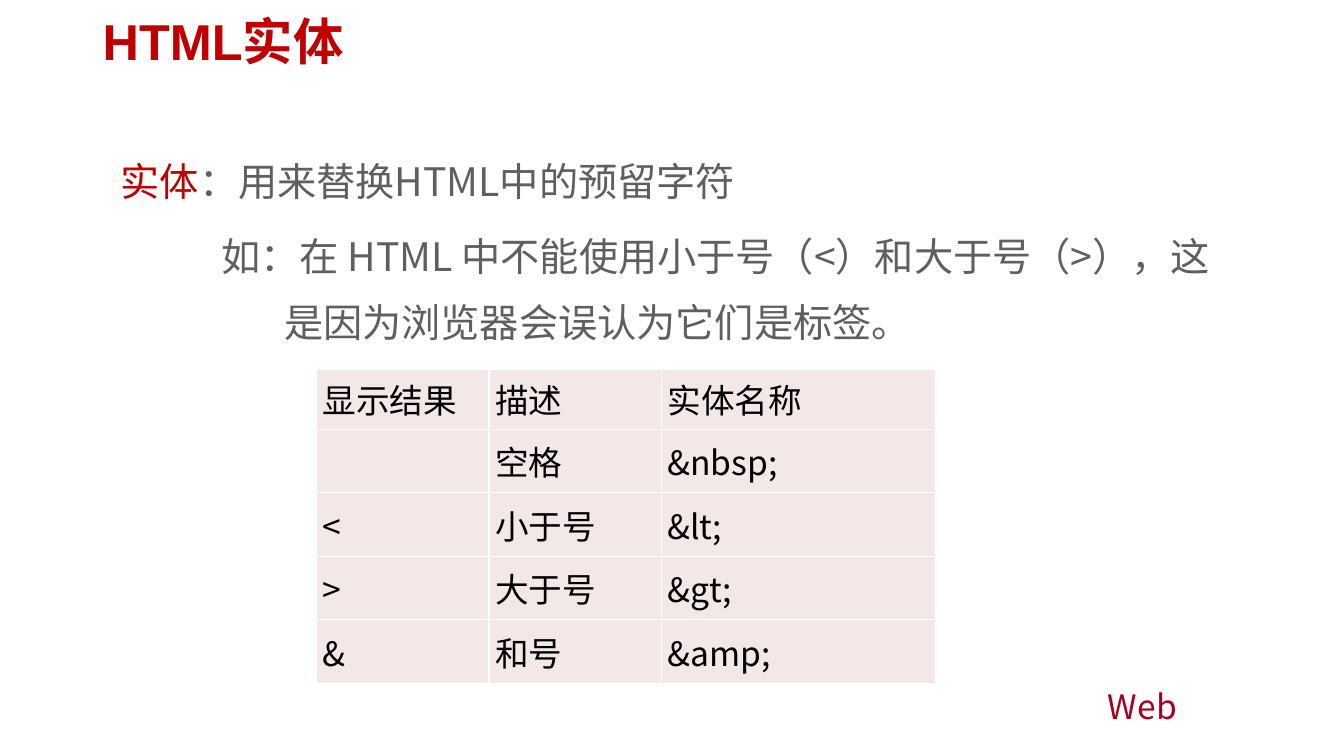
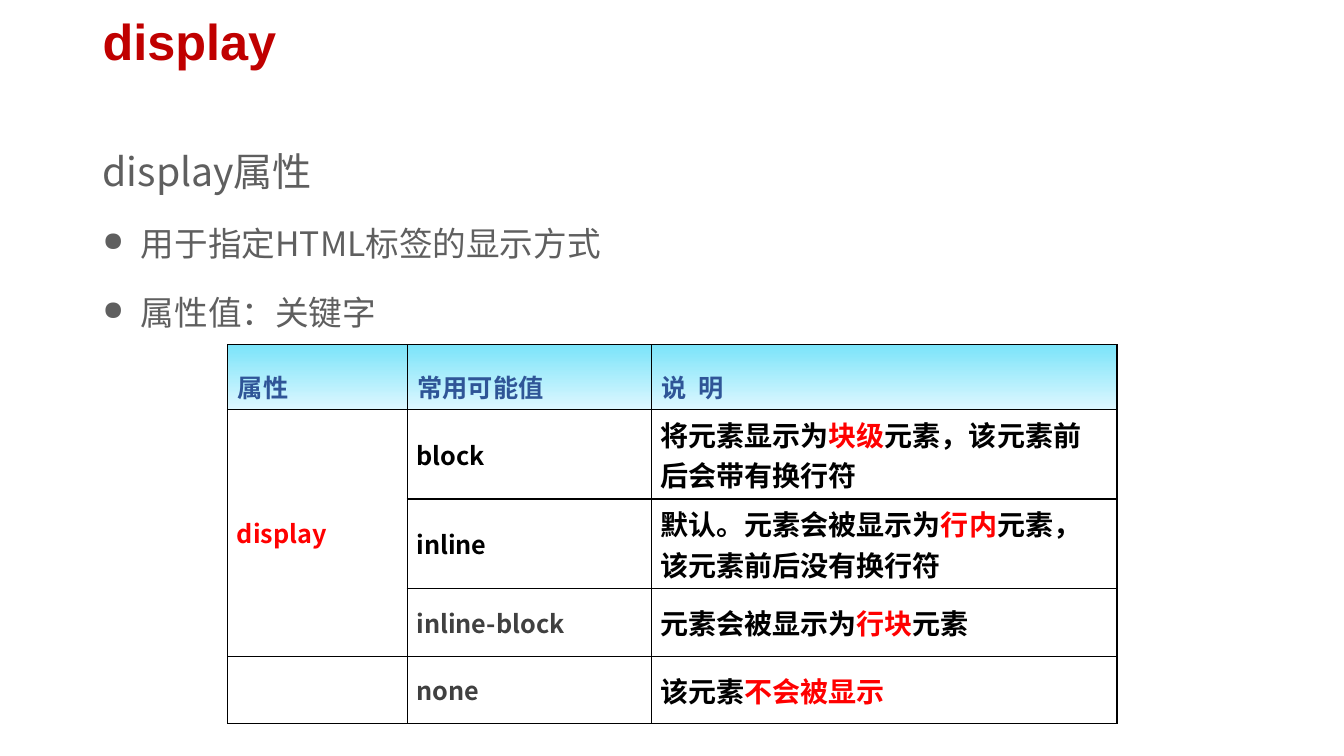
import pptx
import pptx.dml.color
import pptx.enum.text
import pptx.oxml
import pptx.oxml.ns
import pptx.util
from lxml import etree

Inches = pptx.util.Inches
MIDDLE = pptx.enum.text.MSO_ANCHOR.MIDDLE
TOP = pptx.enum.text.MSO_ANCHOR.TOP

COLORS = {
    "title": "C00000", "body": "5F5F5F", "credit": "A50021",
    "black": "000000", "white": "FFFFFF", "keyword": "FF0000",
    "value": "404040", "header": "2F5597", "pink": "F4E7E7",
    "sky_top": "7BE4F9", "sky_bottom": "DDF7FF",
}
TITLE_FONT, BODY_FONT = "Arial", "Noto Sans CJK SC"


def rgb(name):
    return pptx.dml.color.RGBColor.from_string(COLORS[name])


def add_child(parent, tag, **attributes):
    return etree.SubElement(parent, pptx.oxml.ns.qn(tag), attributes)


def write_paragraph(paragraph, runs, size=18, color="black", bold=False, font=BODY_FONT,
                    line_spacing=None, space_after=0, left=0, first=0, bullet=None):
    """Fill a paragraph; each run is a string or a (string, color name) pair."""
    paragraph.line_spacing = line_spacing
    paragraph.space_after = pptx.util.Pt(space_after)
    properties = paragraph._p.get_or_add_pPr()
    properties.set("marL", str(Inches(left)))
    properties.set("indent", str(Inches(first)))
    if bullet:
        add_child(properties, "a:buSzPct", val="80000")
        add_child(properties, "a:buChar", char=bullet)
    for part in [runs] if isinstance(runs, str) else runs:
        words, run_color = (part, color) if isinstance(part, str) else part
        run = paragraph.add_run()
        run.text = words
        run.font.size = pptx.util.Pt(size)
        run.font.bold = bold
        run.font.color.rgb = rgb(run_color)
        run.font.name = font
        add_child(run._r.get_or_add_rPr(), "a:ea", typeface=BODY_FONT)


def add_text(slide, box, paragraphs, anchor=TOP, wrap=True, **shared):
    """Add a text box; each paragraph is a (runs, own format) pair."""
    frame = slide.shapes.add_textbox(*map(Inches, box)).text_frame
    frame.word_wrap = wrap
    frame.vertical_anchor = anchor
    for index, (runs, own) in enumerate(paragraphs):
        paragraph = frame.add_paragraph() if index else frame.paragraphs[0]
        write_paragraph(paragraph, runs, **{**shared, **own})


def add_titled_slide(deck, title):
    slide = deck.slides.add_slide(deck.slide_layouts[6])
    add_text(slide, (0.92, 0, 11.5, 0.88), [(title, {})], anchor=MIDDLE, size=36,
             color="title", bold=True, font=TITLE_FONT, line_spacing=0.9)
    return slide


def add_grid(slide, left, top, widths, heights):
    frame = slide.shapes.add_table(len(heights), len(widths), Inches(left), Inches(top),
                                   Inches(sum(widths)), Inches(sum(heights)))
    table = frame.table
    table.first_row = table.horz_banding = False
    for column, width in zip(table.columns, widths):
        column.width = Inches(width)
    for row, height in zip(table.rows, heights):
        row.height = Inches(height)
    return table


def style_cell(cell, fill, border, margins, anchor=MIDDLE):
    """Set fill, 1 pt borders and margins; two fill colors make a vertical gradient."""
    if isinstance(fill, str):
        cell.fill.solid()
        cell.fill.fore_color.rgb = rgb(fill)
    else:
        cell.fill.gradient()
        cell.fill.gradient_angle = 270
        for stop, color in zip(cell.fill.gradient_stops, fill):
            stop.color.rgb = rgb(color)
    cell.margin_left, cell.margin_top, cell.margin_right, cell.margin_bottom = map(Inches, margins)
    cell.vertical_anchor = anchor
    properties = cell._tc.get_or_add_tcPr()
    for index, side in enumerate("LRTB"):
        line = add_child(properties, f"a:ln{side}", w=str(pptx.util.Pt(1)))
        add_child(add_child(line, "a:solidFill"), "a:srgbClr", val=COLORS[border])
        properties.insert(index, line)


def add_entity_table(slide, left, top):
    rows = [
        ("显示结果", "描述", "实体名称"),
        ("", "空格", "&nbsp;"),
        ("<", "小于号", "&lt;"),
        (">", "大于号", "&gt;"),
        ("&", "和号", "&amp;"),
    ]
    table = add_grid(slide, left, top, [1.71, 1.71, 2.72], [0.6] + [0.63] * 4)
    for r, row in enumerate(rows):
        gap = 0.06 if r else 0.05
        for c, words in enumerate(row):
            cell = table.cell(r, c)
            style_cell(cell, "pink", "white", (0.06, gap, 0.16, gap))
            if words:
                write_paragraph(cell.text_frame.paragraphs[0], words, size=24)


def add_display_table(slide, left, top):
    headings = ["属性", "常用可能值", "说  明"]
    values = [
        ("block", "black", ["将元素显示为", ("块级", "keyword"), "元素，该元素前后会带有换行符"]),
        ("inline", "black", ["默认。元素会被显示为", ("行内", "keyword"), "元素，该元素前后没有换行符"]),
        ("inline-block", "value", ["元素会被显示为", ("行块", "keyword"), "元素"]),
        ("none", "value", ["该元素", ("不会被显示", "keyword")]),
    ]
    table = add_grid(slide, left, top, [1.78, 2.42, 4.62], [0.64, 0.89, 0.89, 0.67, 0.67])
    for c, heading in enumerate(headings):
        cell = table.cell(0, c)
        style_cell(cell, ("sky_top", "sky_bottom"), "black", (0.1, 0.05, 0.1, 0.05), TOP)
        write_paragraph(cell.text_frame.paragraphs[0], heading, color="header", bold=True,
                        line_spacing=1.5)
    for r, (value, color, meaning) in enumerate(values, 1):
        property_name = ("display" if r == 1 else "", "keyword", 18)
        for c, (runs, shade, size) in enumerate(
                [property_name, (value, color, 18), (meaning, "black", 20)]):
            cell = table.cell(r, c)
            style_cell(cell, "white", "black", (0.09, 0.04, 0.09, 0.04))
            if runs:
                write_paragraph(cell.text_frame.paragraphs[0], runs, size=size, color=shade,
                                bold=True)
    table.cell(1, 0).merge(table.cell(3, 0))


def build_entity_slide(deck):
    slide = add_titled_slide(deck, "HTML实体")
    example = "如：在 HTML 中不能使用小于号（<）和大于号（>），这是因为浏览器会误认为它们是标签。"
    add_text(slide, (1.1, 1.33, 11.12, 2.33), [
        ([("实体", "title"), "：用来替换HTML中的预留字符"], {}),
        (example, {"left": 1.62, "first": -0.62}),
    ], size=28, color="body", line_spacing=1.4, space_after=6)
    add_entity_table(slide, 3.14, 3.66)
    add_text(slide, (10.89, 6.76, 0.96, 0.53), [("Web", {})], wrap=False, size=24,
             color="credit")


def build_display_slide(deck):
    slide = add_titled_slide(deck, "display")
    point = {"size": 24, "left": 0.38, "first": -0.38, "bullet": "●"}
    add_text(slide, (0.92, 1.18, 11.5, 2.24), [
        ("display属性", {"size": 28}),
        ("用于指定HTML标签的显示方式", point),
        ("属性值：关键字", point),
    ], color="body", line_spacing=1.5, space_after=6)
    add_display_table(slide, 2.26, 3.42)


def main():
    deck = pptx.Presentation()
    deck.slide_width, deck.slide_height = Inches(13.33), Inches(7.5)
    build_entity_slide(deck)
    build_display_slide(deck)
    deck.save("out.pptx")


if __name__ == "__main__":
    main()
